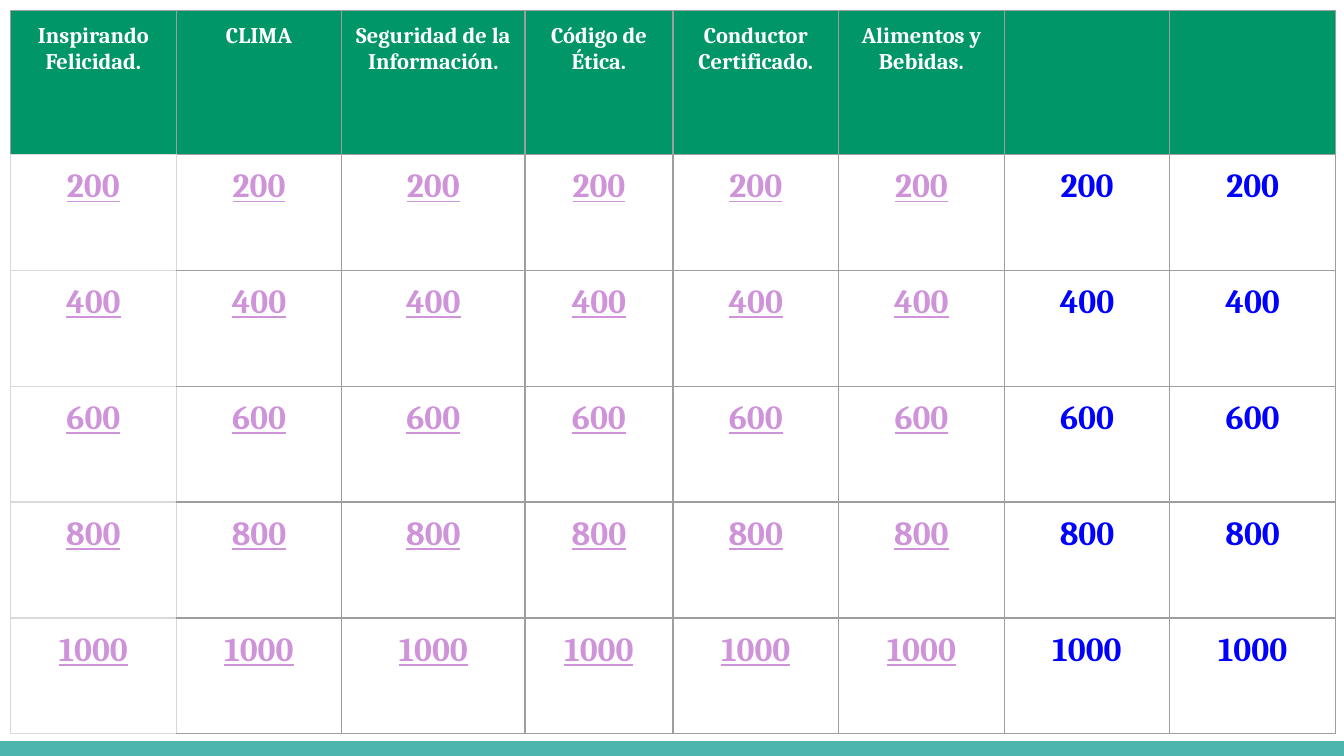
from lxml.etree import SubElement
from pptx import Presentation
from pptx.dml.color import RGBColor
from pptx.enum.shapes import MSO_SHAPE as Shape
from pptx.enum.text import PP_ALIGN as Align
from pptx.oxml.ns import qn
from pptx.util import Cm, Pt

COLORS = {
    "green": "009668",
    "teal": "4DB6AC",
    "white": "FFFFFF",
    "lilac": "CE93D8",
    "blue": "0000FF",
    "gray": "9E9E9E",
    "light": "D9D9D9",
}
CATEGORIES = [
    "Inspirando Felicidad.",
    "CLIMA",
    "Seguridad de la\nInformación.",
    "Código de Ética.",
    "Conductor Certificado.",
    "Alimentos y Bebidas.",
    "",
    "",
]
POINTS = range(200, 1001, 200)
COLUMN_WIDTHS = [3.13, 3.13, 3.46, 2.8] + [3.13] * 4
ROW_HEIGHTS = [2.72] + [2.19] * len(POINTS)
LINKED_COLUMNS = 6
MARGINS = ("margin_left", "margin_right", "margin_top", "margin_bottom")

HEADER = {"size": Pt(12), "bold": True, "underline": False}
LINKED = {"size": Pt(18), "bold": True, "underline": True}
PLAIN = {"size": Pt(18), "bold": True, "underline": False}


def rgb(color):
    return RGBColor.from_string(COLORS[color])


def set_text(cell, text, font_format, color):
    cell.text_frame.text = text
    for paragraph in cell.text_frame.paragraphs:
        paragraph.alignment = Align.CENTER
        for run in paragraph.runs:
            run.font.name = "Cambria"
            run.font.color.rgb = rgb(color)
            for name, value in font_format.items():
                setattr(run.font, name, value)


def set_borders(cell, light_sides):
    properties = cell._tc.get_or_add_tcPr()
    for side in "LRTB":
        line = SubElement(properties, qn(f"a:ln{side}"), w=str(Pt(0.75)))
        fill = SubElement(line, qn("a:solidFill"))
        color = COLORS["light" if side in light_sides else "gray"]
        SubElement(fill, qn("a:srgbClr"), val=color)


def get_light_sides(row, column):
    if row == 0:
        return "B" if column == 0 else ""
    return {0: "LRTB", 1: "L"}.get(column, "")


def add_board(slide):
    frame = slide.shapes.add_table(
        len(ROW_HEIGHTS), len(COLUMN_WIDTHS), Cm(0.2), Cm(0.2),
        Cm(sum(COLUMN_WIDTHS)), Cm(sum(ROW_HEIGHTS)),
    )
    table = frame.table
    table.first_row = table.horz_banding = False
    for column, width in zip(table.columns, COLUMN_WIDTHS):
        column.width = Cm(width)
    for row, height in zip(table.rows, ROW_HEIGHTS):
        row.height = Cm(height)

    rows = [CATEGORIES] + [[str(value)] * len(CATEGORIES) for value in POINTS]
    for row, texts in enumerate(rows):
        for column, text in enumerate(texts):
            cell = table.cell(row, column)
            for margin in MARGINS:
                setattr(cell, margin, Cm(0.25))
            set_borders(cell, get_light_sides(row, column))
            if row == 0:
                cell.fill.solid()
                cell.fill.fore_color.rgb = rgb("green")
                set_text(cell, text, HEADER, "white")
            else:
                cell.fill.background()
                linked = column < LINKED_COLUMNS
                set_text(cell, text, LINKED if linked else PLAIN,
                         "lilac" if linked else "blue")


def add_bar(slide, left, top, width, height):
    bar = slide.shapes.add_shape(Shape.RECTANGLE, left, top, width, height)
    bar.shadow.inherit = False
    bar.fill.solid()
    bar.fill.fore_color.rgb = rgb("teal")
    bar.line.fill.background()


def main():
    presentation = Presentation()
    presentation.slide_width = Cm(25.4)
    presentation.slide_height = Cm(14.29)
    slide = presentation.slides.add_slide(presentation.slide_layouts[6])
    add_bar(slide, Cm(0), Cm(14.01), Cm(25.4), Cm(0.28))
    add_board(slide)
    presentation.save("out.pptx")


if __name__ == "__main__":
    main()
